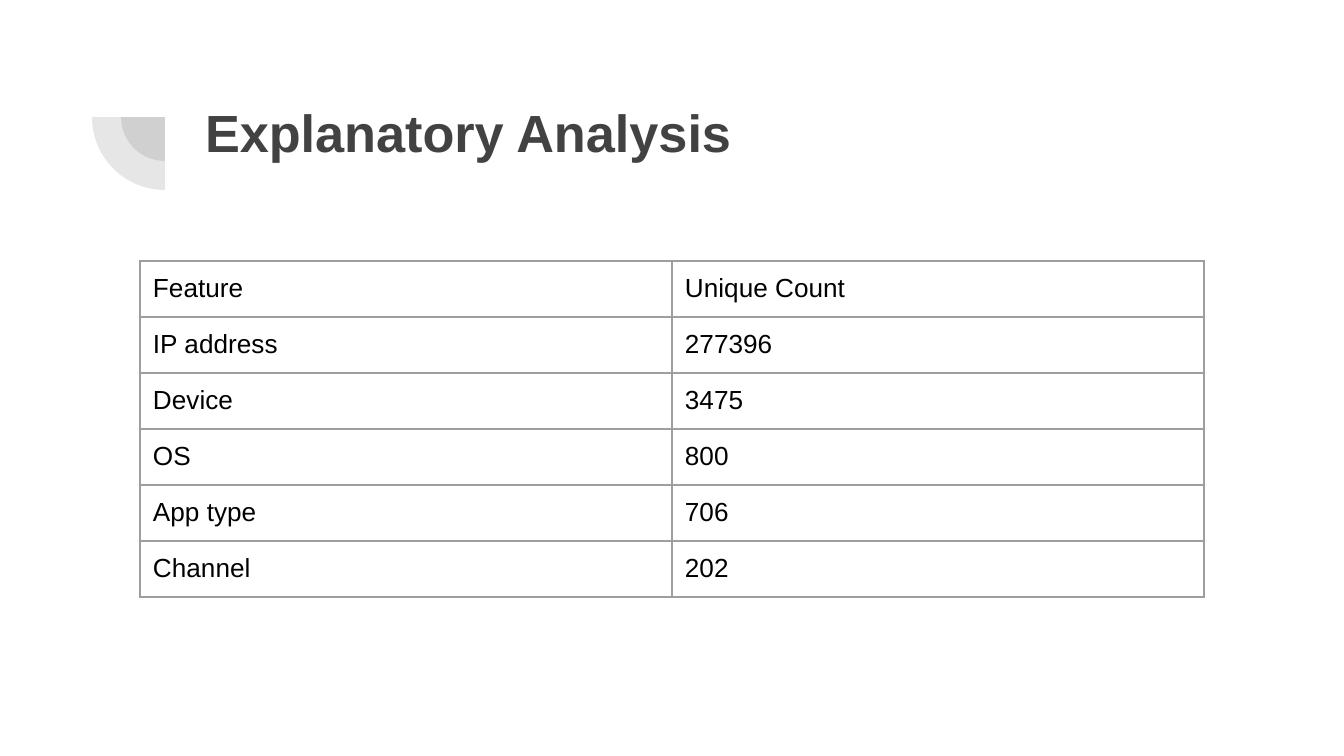
from lxml.etree import SubElement
from pptx import Presentation
from pptx.dml.color import RGBColor
from pptx.enum.shapes import MSO_SHAPE as Shape
from pptx.enum.text import MSO_ANCHOR as Anchor, PP_ALIGN as Align
from pptx.oxml import parse_xml
from pptx.oxml.ns import nsdecls, qn
from pptx.util import Emu, Pt

EMU_PER_PX = 914400 / 134.4
INSET = 13
FONT = "Arial"
CHARCOAL = RGBColor(0x42, 0x42, 0x42)
BLACK = RGBColor(0, 0, 0)
GRID_GRAY = RGBColor(0x9E, 0x9E, 0x9E)

FEATURE_COUNTS = [
    ("Feature", "Unique Count"),
    ("IP address", "277396"),
    ("Device", "3475"),
    ("OS", "800"),
    ("App type", "706"),
    ("Channel", "202"),
]


def px(length):
    return Emu(round(length * EMU_PER_PX))


def set_insets(target):
    target.margin_left = target.margin_right = px(INSET)
    target.margin_top = target.margin_bottom = px(INSET)


def write(frame, text, size, color, bold=False):
    paragraph = frame.paragraphs[0]
    paragraph.alignment = Align.LEFT
    run = paragraph.add_run()
    run.text = text
    run.font.name = FONT
    run.font.size = Pt(size)
    run.font.bold = bold
    run.font.color.rgb = color


def add_quarter(slide, center_x, center_y, radius):
    quarter = slide.shapes.add_shape(
        Shape.PIE, px(center_x - radius), px(center_y - radius),
        px(2 * radius), px(2 * radius))
    quarter.adjustments[0] = 108
    quarter.adjustments[1] = 162
    quarter.rotation = 270
    quarter.shadow.inherit = False
    quarter.line.fill.background()
    quarter.fill.solid()
    quarter.fill.fore_color.rgb = CHARCOAL
    tint = quarter.fill._xPr.find(qn("a:solidFill"))[0]
    SubElement(tint, qn("a:alpha"), val="13000")


def place_title(slide, text, left, top, width, height):
    title = slide.shapes.title
    title.left, title.top = px(left), px(top)
    title.width, title.height = px(width), px(height)
    frame = title.text_frame
    frame.word_wrap = True
    frame.vertical_anchor = Anchor.TOP
    set_insets(frame)
    write(frame, text, 28, CHARCOAL, bold=True)


def add_borders(cell):
    properties = cell._tc.get_or_add_tcPr()
    for index, side in enumerate("LRTB"):
        properties.insert(index, parse_xml(
            f'<a:ln{side} {nsdecls("a")} w="{Pt(0.75)}"><a:solidFill>'
            f'<a:srgbClr val="{GRID_GRAY}"/></a:solidFill></a:ln{side}>'))


def add_count_table(slide, rows, left, top, column_width, row_height):
    columns = len(rows[0])
    table = slide.shapes.add_table(
        len(rows), columns, px(left), px(top),
        px(column_width * columns), px(row_height * len(rows))).table
    table.first_row = table.horz_banding = False
    for row_index, values in enumerate(rows):
        for column_index, value in enumerate(values):
            cell = table.cell(row_index, column_index)
            set_insets(cell)
            cell.vertical_anchor = Anchor.TOP
            cell.fill.background()
            add_borders(cell)
            write(cell.text_frame, value, 14, BLACK)


def main():
    deck = Presentation()
    deck.slide_width, deck.slide_height = px(1344), px(756)
    slide = deck.slides.add_slide(deck.slide_layouts[5])
    for radius in (44, 73):
        add_quarter(slide, 165, 117, radius)
    place_title(slide, "Explanatory Analysis", 192, 87, 1034, 147)
    add_count_table(slide, FEATURE_COUNTS, 140, 261, 532, 56)
    deck.save("out.pptx")


if __name__ == "__main__":
    main()
